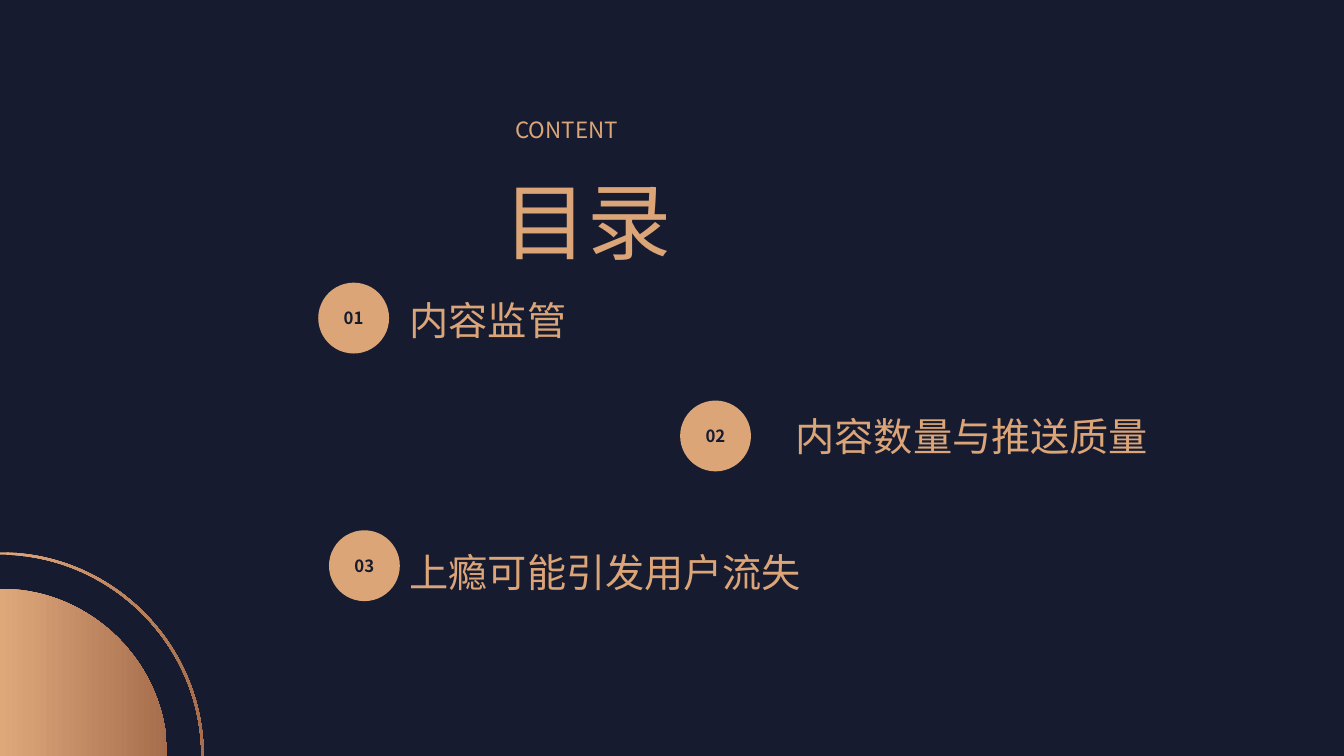
"""Build the contents slide of a dark and copper deck."""
from dataclasses import dataclass

from pptx import Presentation
from pptx.dml.color import RGBColor
from pptx.enum.shapes import MSO_SHAPE
from pptx.enum.text import MSO_ANCHOR, MSO_AUTO_SIZE, PP_ALIGN
from pptx.oxml.ns import qn
from pptx.util import Pt


@dataclass(frozen=True)
class Theme:
    """Hold the colours, fonts and type sizes."""
    navy: RGBColor = RGBColor(0x16, 0x1B, 0x30)
    gold: RGBColor = RGBColor(0xDC, 0xA5, 0x78)
    light: RGBColor = RGBColor(0xDF, 0xA8, 0x7B)
    dark: RGBColor = RGBColor(0xA7, 0x6E, 0x4D)
    face: str = "Noto Sans CJK SC"
    head: str = "Noto Sans CJK JP"
    title: int = 60
    item: int = 28
    label: int = 16
    badge: int = 12


THEME = Theme()
WIDTH, HEIGHT = 960, 540
BADGE = 50.6
BEND = 0.55
GRAIN = 100
ITEMS = [
    ("内容监管", (227.3, 201.9), (285.5, 208.1, 200.2, 41)),
    ("内容数量与推送质量", (485.8, 286.1), (561.3, 290.9, 284.4, 41)),
    ("上瘾可能引发用户流失", (235, 378.8), (285.5, 388.1, 307.4, 41)),
]


def put(target, values):
    """Set each attribute named in a dict."""
    for name, value in values.items():
        setattr(target, name, value)


def write(shape, text, size, color, align, face=THEME.face, bold=False):
    """Write one styled line into a shape."""
    para = shape.text_frame.paragraphs[0]
    para.alignment = align
    run = para.add_run()
    run.text = text
    put(run.font, {"size": Pt(size), "name": face, "bold": bold})
    run.font.color.rgb = color
    east = run.font._element.makeelement(qn("a:ea"), {"typeface": face})
    run.font._element.find(qn("a:latin")).addnext(east)


def place(shape, box):
    """Move and size a shape in points."""
    put(shape, dict(zip(("left", "top", "width", "height"), map(Pt, box))))


def label(shape, box, text, size, face=THEME.face):
    """Format a shape as a gold line of text."""
    place(shape, box)
    put(shape.text_frame, {
        "word_wrap": True,
        "auto_size": MSO_AUTO_SIZE.SHAPE_TO_FIT_TEXT,
        "vertical_anchor": MSO_ANCHOR.TOP,
    })
    write(shape, text, size, THEME.gold, PP_ALIGN.JUSTIFY, face)


def text_box(slide, box, text, size):
    """Add a gold line of text."""
    label(slide.shapes.add_textbox(*map(Pt, box)), box, text, size)


def badge(slide, spot, number):
    """Add a numbered gold circle."""
    dot = slide.shapes.add_shape(
        MSO_SHAPE.OVAL, *map(Pt, (*spot, BADGE, BADGE)))
    dot.shadow.inherit = False
    dot.fill.solid()
    dot.fill.fore_color.rgb = THEME.gold
    dot.line.fill.background()
    dot.text_frame.vertical_anchor = MSO_ANCHOR.MIDDLE
    write(dot, f"{number:02}", THEME.badge, THEME.navy,
          PP_ALIGN.CENTER, bold=True)


def arc(radius):
    """List the four curve points of a quarter circle in the lower left."""
    bend = BEND * radius
    return [(0, HEIGHT - radius), (bend, HEIGHT - radius),
            (radius, HEIGHT - bend), (radius, HEIGHT)]


def curve(lines):
    """Turn three line segments into one curve."""
    first, *rest = lines
    first.tag = qn("a:cubicBezTo")
    for line in rest:
        first.append(line[0])
        line.getparent().remove(line)


def corner(slide, points, starts):
    """Add a copper outline with curves at the given segments."""
    fine = [(x * GRAIN, y * GRAIN) for x, y in points]
    pen = slide.shapes.build_freeform(*fine[0], scale=Pt(1) / GRAIN)
    pen.add_line_segments(fine[1:], close=True)
    shape = pen.convert_to_shape()
    lines = list(shape._element.iter(qn("a:lnTo")))
    for start in starts:
        curve(lines[start:start + 3])
    shape.shadow.inherit = False
    shape.line.fill.background()
    shape.fill.gradient()
    shape.fill.gradient_angle = 0
    for stop, color, spot in zip(shape.fill.gradient_stops,
                                 (THEME.light, THEME.dark), (0, 1)):
        stop.color.rgb = color
        stop.position = spot


def main():
    """Build and save the slide."""
    deck = Presentation()
    put(deck, {"slide_width": Pt(WIDTH), "slide_height": Pt(HEIGHT)})
    slide = deck.slides.add_slide(deck.slide_layouts[5])
    slide.background.fill.solid()
    slide.background.fill.fore_color.rgb = THEME.navy

    corner(slide, arc(119.5) + [(0, HEIGHT)], [0])
    corner(slide, arc(145.5) + arc(143.8)[::-1], [0, 4])
    for number, (text, spot, box) in enumerate(ITEMS, 1):
        badge(slide, spot, number)
        text_box(slide, box, text, THEME.item)
    label(slide.shapes.title, (352.1, 117.4, 253.4, 79.9), "目录",
          THEME.title, THEME.head)
    text_box(slide, (361.1, 79.5, 239.8, 26.6), "CONTENT", THEME.label)
    deck.save("out.pptx")


if __name__ == "__main__":
    main()
